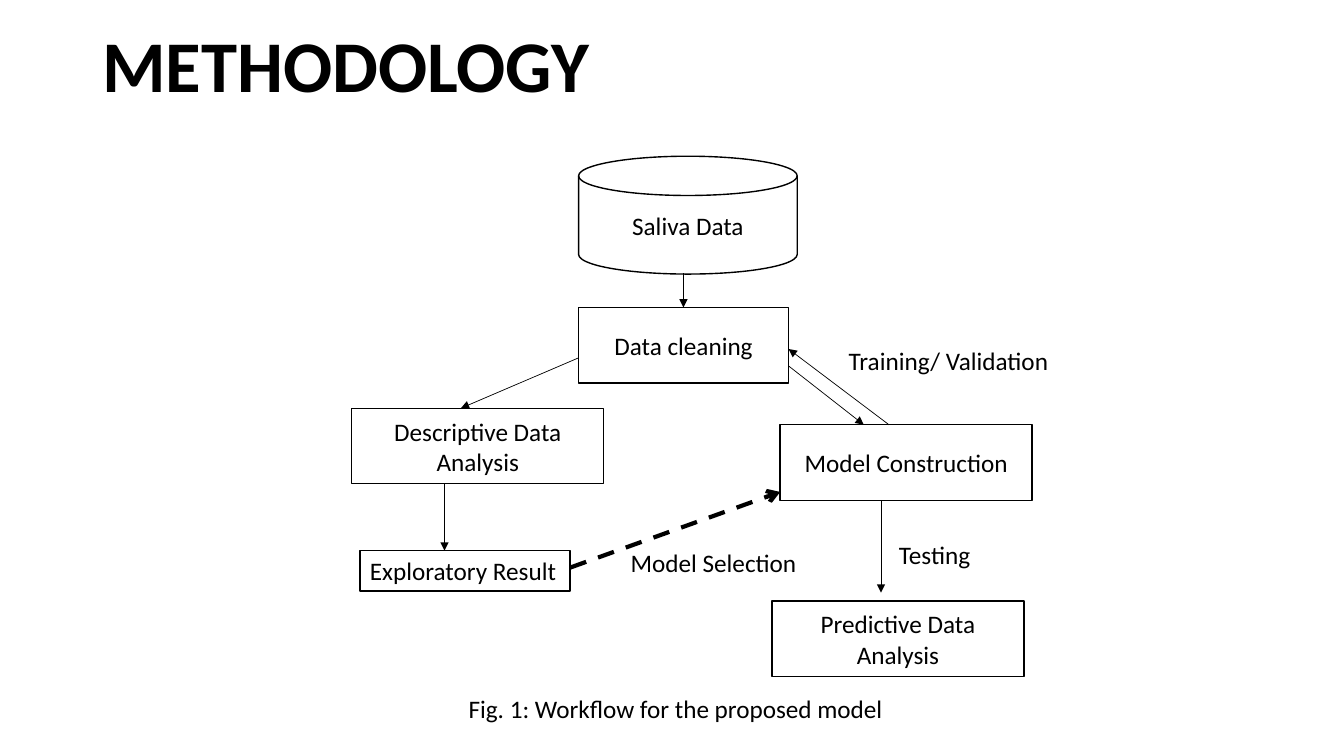
from dataclasses import dataclass
from lxml import etree
from pptx import Presentation
from pptx.dml.color import RGBColor
from pptx.enum.dml import MSO_LINE
from pptx.enum.shapes import MSO_CONNECTOR, MSO_SHAPE
from pptx.enum.text import MSO_ANCHOR, PP_ALIGN
from pptx.oxml.ns import qn
from pptx.util import Pt

RECT = MSO_SHAPE.RECTANGLE
DISK = MSO_SHAPE.FLOWCHART_MAGNETIC_DISK
LINE = MSO_CONNECTOR.STRAIGHT
DASH = MSO_LINE.DASH
LEFT, CENTER = PP_ALIGN.LEFT, PP_ALIGN.CENTER
TOP, MIDDLE = MSO_ANCHOR.TOP, MSO_ANCHOR.MIDDLE


@dataclass
class Theme:
    face: str = "Calibri"
    ink: RGBColor = RGBColor(0, 0, 0)
    paper: RGBColor = RGBColor(255, 255, 255)
    title: float = 52
    body: float = 18
    edge: float = 1
    thin: float = 0.5
    thick: float = 3


class Canvas:
    def __init__(self, slide, theme):
        self.slide = slide
        self.theme = theme

    def letter(self, shape, text, size, align=LEFT, anchor=TOP, bold=False):
        frame = shape.text_frame
        frame.word_wrap = True
        frame.vertical_anchor = anchor
        para = frame.paragraphs[0]
        para.text = text
        para.alignment = align
        font = para.font
        font.name = self.theme.face
        font.size = Pt(size)
        font.bold = bold
        font.color.rgb = self.theme.ink
        return para

    def title(self, text, place):
        box = self.slide.shapes.add_textbox(*map(Pt, place))
        box.text_frame.margin_top = 0
        para = self.letter(box, text, self.theme.title, bold=True)
        para.line_spacing = 0.9

    def label(self, text, place):
        box = self.slide.shapes.add_textbox(*map(Pt, place))
        self.letter(box, text, self.theme.body)

    def node(self, text, place, kind=RECT, align=CENTER, anchor=MIDDLE):
        shape = self.slide.shapes.add_shape(kind, *map(Pt, place))
        shape.shadow.inherit = False
        shape.fill.solid()
        shape.fill.fore_color.rgb = self.theme.paper
        shape.line.color.rgb = self.theme.ink
        shape.line.width = Pt(self.theme.edge)
        self.letter(shape, text, self.theme.body, align, anchor)

    def arrow(self, start, end, width, head="triangle", dash=None):
        link = self.slide.shapes.add_connector(LINE, *map(Pt, start + end))
        link.line.color.rgb = self.theme.ink
        link.line.width = Pt(width)
        if dash:
            link.line.dash_style = dash
        props = link._element.spPr
        etree.SubElement(props.find(qn("a:ln")), qn("a:tailEnd"), type=head)
        etree.SubElement(props, qn("a:effectLst"))


deck = Presentation()
deck.slide_width, deck.slide_height = Pt(960), Pt(540)
theme = Theme()
page = Canvas(deck.slides.add_slide(deck.slide_layouts[6]), theme)

page.title("METHODOLOGY", (66, 21, 828, 119))

WIDE, SLIM, HIGH, LOW = 180, 150, 54, 29
page.node("Saliva Data", (413.3, 111.6, 156.2, 84.2), DISK)
for text, left, top, width in (
    ("Data cleaning", 413.3, 219.6, SLIM),
    ("Descriptive Data Analysis", 251.3, 291.6, WIDE),
    ("Model Construction", 557.3, 303.4, WIDE),
    ("Predictive Data Analysis", 551.4, 429.3, WIDE),
):
    page.node(text, (left, top, width, HIGH))
page.node("Exploratory Result", (257.2, 393.3, SLIM, LOW), align=LEFT, anchor=TOP)

for start, end in (
    ((488.2, 195.3), (488.2, 219.6)),
    ((413.3, 255.6), (329.2, 291.6)),
    ((317.5, 345.6), (317.5, 393.3)),
    ((563.3, 261.4), (617, 303.4)),
    ((635, 303.4), (563.3, 249.3)),
    ((629.3, 357.3), (629.3, 423.4)),
):
    page.arrow(start, end, theme.thin)
page.arrow((407.4, 405.4), (557.3, 351.4), theme.thick, "arrow", DASH)

for text, left, top, width in (
    ("Training/ Validation", 599.2, 243.4, 180),
    ("Testing", 635, 381.6, 120),
    ("Model Selection", 443.4, 387.4, 150),
    ("Fig. 1: Workflow for the proposed model", 327.6, 491.8, 375),
):
    page.label(text, (left, top, width, LOW))

deck.save("out.pptx")
